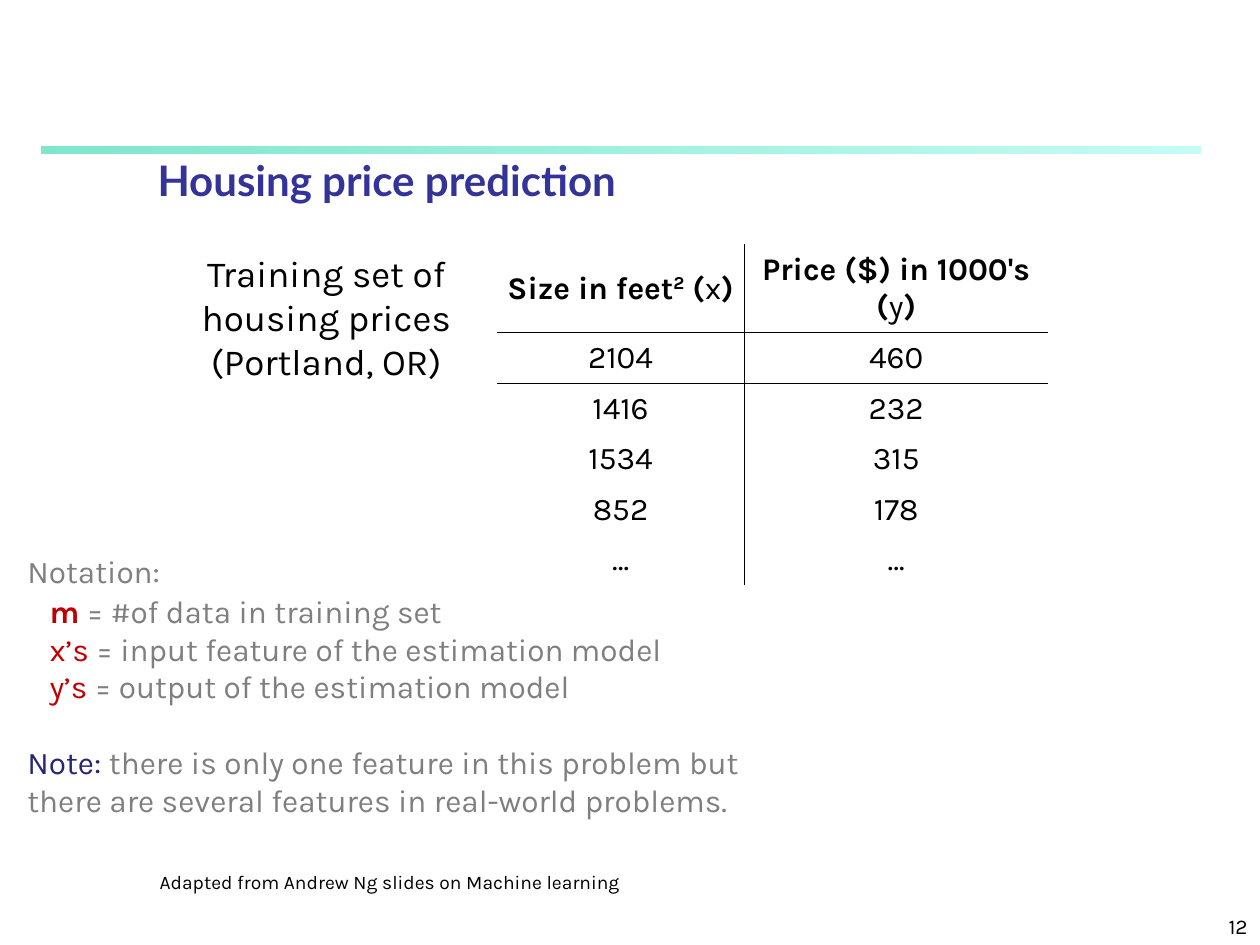
from lxml.etree import SubElement
from pptx import Presentation
from pptx.dml.color import RGBColor
from pptx.enum.shapes import MSO_SHAPE
from pptx.enum.text import MSO_ANCHOR, MSO_AUTO_SIZE, PP_ALIGN
from pptx.oxml.ns import qn
from pptx.util import Pt

COLORS = {
    "black": "000000", "gray": "7F7F7F", "red": "C00000", "navy": "262673",
    "title": "333399", "bar_start": "00CE98", "bar_end": "8FF9EF",
}

# Content: a paragraph is a list of (text, format) runs
TITLE = [[("Housing price prediction",
           {"name": "Lato", "size": 24, "bold": True, "color": "title"})]]
BOLD, PLAIN = {"size": 18, "bold": True}, {"size": 18}
GRAY, RED = {"size": 18, "color": "gray"}, {"size": 18, "color": "red"}
HEADERS = [
    [("Size in feet", BOLD), ("2", {**BOLD, "baseline": 30000}), (" (", BOLD),
     ("x", PLAIN), (")", BOLD)],
    [("Price ($) in 1000's (", BOLD), ("y", PLAIN), (")", BOLD)],
]
HOUSES = [("2104", "460"), ("1416", "232"), ("1534", "315"), ("852", "178"), ("…", "…")]
NOTATION = [
    [("Notation:", GRAY)],
    [("m", {**RED, "bold": True}), (" = #of data in training set", GRAY)],
    [("x’s", RED), (" = input feature of the estimation model", GRAY)],
    [("y’s", RED), (" = output of the estimation model", GRAY)],
    [("Note:", {"size": 18, "color": "navy"}),
     (" there is only one feature in this problem but", GRAY)],
    [("there are several features in real-world problems.", GRAY)],
]
NOTATION_INDENT = {1: 12.6, 2: 12.6, 3: 12.6}
NOTATION_SPACE = {1: 1.2, 4: 21.6}
CAPTION = [[(line, {"size": 21})]
           for line in ("Training set of", "housing prices", "(Portland, OR)")]
CREDIT = [[("Adapted from Andrew Ng slides on Machine learning", {"size": 11})]]
PAGE_NUMBER = [[("12", {"size": 12})]]

COLUMN_WIDTHS = (141.5, 173.5)
HEADER_HEIGHT, ROW_HEIGHT = 44, 22.3


def rgb(name):
    return RGBColor.from_string(COLORS[name])


def write(text_frame, paragraphs, align=PP_ALIGN.LEFT):
    for index, runs in enumerate(paragraphs):
        paragraph = text_frame.paragraphs[0] if index == 0 else text_frame.add_paragraph()
        paragraph.alignment = align
        for text, run_format in runs:
            run = paragraph.add_run()
            run.text = text
            values = {"name": "Karla", "bold": False, "color": "black", **run_format}
            run.font.color.rgb = rgb(values.pop("color"))
            baseline = values.pop("baseline", None)
            values["size"] = Pt(values["size"])
            for attribute, value in values.items():
                setattr(run.font, attribute, value)
            if baseline:
                run.font._element.set("baseline", str(baseline))


def add_text(slide, box, paragraphs, align=PP_ALIGN.LEFT, **frame_format):
    text_frame = slide.shapes.add_textbox(*map(Pt, box)).text_frame
    for attribute, value in frame_format.items():
        setattr(text_frame, attribute, value)
    write(text_frame, paragraphs, align)
    return text_frame


def add_border(cell, side):
    line = SubElement(cell._tc.get_or_add_tcPr(), qn(f"a:ln{side}"), w=str(Pt(0.45)))
    fill = SubElement(line, qn("a:solidFill"))
    SubElement(fill, qn("a:srgbClr"), val=COLORS["black"])


presentation = Presentation()
presentation.slide_width, presentation.slide_height = Pt(720), Pt(540)
slide = presentation.slides.add_slide(presentation.slide_layouts[5])

# Gradient bar above the title
bar = slide.shapes.add_shape(MSO_SHAPE.RECTANGLE, Pt(23.5), Pt(84), Pt(662.5), Pt(4))
bar.shadow.inherit = False
bar.line.fill.background()
bar.fill.gradient()
bar.fill.gradient_angle = 0
for stop, color, position in zip(bar.fill.gradient_stops, ("bar_start", "bar_end"), (0, 1)):
    stop.color.rgb = rgb(color)
    stop.position = position
for color_element, alpha in zip(bar._element.spPr.iter(qn("a:srgbClr")), (50000, 52000)):
    SubElement(color_element, qn("a:alpha"), val=str(alpha))

# Title
title = slide.shapes.title
title.left, title.top, title.width, title.height = map(Pt, (82.8, 80.6, 615.6, 40.3))
title.text_frame.auto_size = MSO_AUTO_SIZE.NONE
title.text_frame.vertical_anchor = MSO_ANCHOR.BOTTOM
write(title.text_frame, TITLE)

# Page number
add_text(slide, (570.2, 509.8, 149.8, 30.2), PAGE_NUMBER, PP_ALIGN.RIGHT,
         word_wrap=True, vertical_anchor=MSO_ANCHOR.BOTTOM)

# Notation and note
GROWING = {"auto_size": MSO_AUTO_SIZE.SHAPE_TO_FIT_TEXT}
notation = add_text(slide, (8.6, 311.8, 442.8, 159.8), NOTATION, word_wrap=False, **GROWING)
for index, indent in NOTATION_INDENT.items():
    notation.paragraphs[index]._p.get_or_add_pPr().set("marL", str(Pt(indent)))
for index, space in NOTATION_SPACE.items():
    notation.paragraphs[index].space_before = Pt(space)

# Training set table
rows = [HEADERS] + [[[(value, PLAIN)] for value in house] for house in HOUSES]
heights = [HEADER_HEIGHT] + [ROW_HEIGHT] * len(HOUSES)
frame = slide.shapes.add_table(len(rows), len(COLUMN_WIDTHS), Pt(283.9), Pt(139.7),
                               Pt(sum(COLUMN_WIDTHS)), Pt(sum(heights)))
table = frame.table
table.first_row = table.horz_banding = False
NO_STYLE = "{2D5ABB26-0587-4C30-8999-92F81FD0307C}"
table._tbl.tblPr.find(qn("a:tableStyleId")).text = NO_STYLE
for column, width in zip(table.columns, COLUMN_WIDTHS):
    column.width = Pt(width)
for row_index, (row, height) in enumerate(zip(rows, heights)):
    table.rows[row_index].height = Pt(height)
    for column_index, runs in enumerate(row):
        cell = table.cell(row_index, column_index)
        cell.margin_left = cell.margin_right = Pt(0.7)
        cell.vertical_anchor = MSO_ANCHOR.BOTTOM if row_index else MSO_ANCHOR.MIDDLE
        add_border(cell, "L" if column_index else "R")
        if row_index < 2:
            add_border(cell, "T" if row_index else "B")
        cell.fill.background()
        write(cell.text_frame, [runs], PP_ALIGN.CENTER)

# Caption beside the table, and credit line
add_text(slide, (107.3, 139.7, 158.4, 82.8), CAPTION, PP_ALIGN.CENTER,
         word_wrap=False, **GROWING)
add_text(slide, (84.2, 493.9, 300.2, 33.8), CREDIT, word_wrap=True, **GROWING)

presentation.save("out.pptx")
